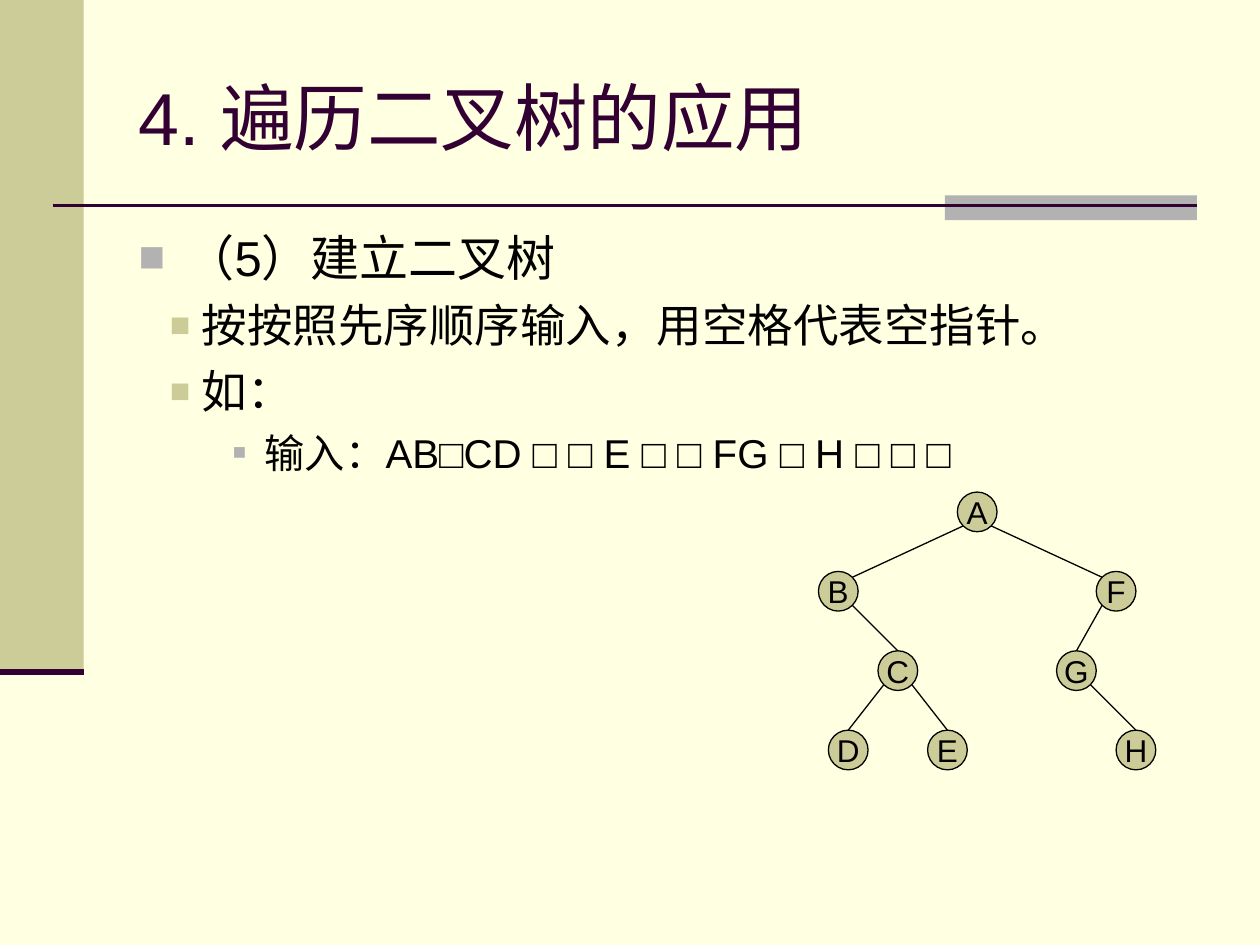
from math import sqrt

from lxml.etree import SubElement
from pptx import Presentation
from pptx.dml.color import RGBColor
from pptx.enum.shapes import MSO_CONNECTOR, MSO_SHAPE
from pptx.enum.text import MSO_ANCHOR, MSO_AUTO_SIZE, PP_ALIGN
from pptx.oxml.ns import qn
from pptx.util import Cm, Pt

CREAM, OLIVE, GREY, PLUM, BLACK = "FFFFE1", "CCCC99", "B2B2B2", "330033", "000000"

LEVELS = [
    {"size": 28, "before": 7, "margin": 0.95, "hanging": 0.95, "bullet": GREY, "scale": 90},
    {"size": 26, "before": 6.5, "margin": 1.27, "hanging": 0.64, "bullet": OLIVE, "scale": 75},
    {"size": 23, "before": 5.8, "margin": 2.54, "hanging": 0.64, "bullet": GREY, "scale": 55},
]
ITEMS = [
    (0, "（5）建立二叉树"),
    (1, "按按照先序顺序输入，用空格代表空指针。"),
    (1, "如："),
    (2, "输入：AB□CD □ □ E □ □ FG □ H □ □ □"),
]

DIAMETER, ROW_PITCH = 0.8, 1.6
NODES = {
    "A": (2.8, 0), "B": (0, 1), "F": (5.6, 1), "C": (1.2, 2),
    "G": (4.8, 2), "D": (0.2, 3), "E": (2.2, 3), "H": (6, 3),
}
EDGES = ["AB", "AF", "BC", "FG", "CD", "CE", "GH"]


def color(code):
    """Turn a hex string into a colour."""
    return RGBColor.from_string(code)


def style_font(font, size, code):
    """Set the typeface, size and colour of a font."""
    font.name, font.size = "Arial", Pt(size)
    font.color.rgb = color(code)


def add_block(page, kind, box, fill):
    """Add a filled shape without outline; box is in centimetres."""
    shape = page.shapes.add_shape(kind, *map(Cm, box))
    shape.shadow.inherit = False
    shape.fill.solid()
    shape.fill.fore_color.rgb = color(fill)
    shape.line.fill.background()
    return shape


def add_line(page, start, end, code, width):
    """Add a straight line between two points in centimetres."""
    line = page.shapes.add_connector(MSO_CONNECTOR.STRAIGHT, *map(Cm, (*start, *end)))
    line.line.color.rgb = color(code)
    line.line.width = Pt(width)
    SubElement(line._element.spPr, qn("a:effectLst"))


def add_sidebar(page, box):
    """Draw the side band with its closing rule."""
    left, top, width, height = box
    add_block(page, MSO_SHAPE.RECTANGLE, box, OLIVE)
    add_line(page, (left, top + height), (left + width, top + height), PLUM, 3.5)


def add_title_rule(page, box):
    """Draw the rule below the title with a grey tab at its right end."""
    left, top, width, height = box
    tab = 5.08
    add_block(page, MSO_SHAPE.RECTANGLE, (left + width - tab, top, tab, height), GREY)
    middle = top + 0.2
    add_line(page, (left, middle), (left + width, middle), PLUM, 1.5)


def prepare_frame(holder, box, anchor):
    """Move a placeholder into its box and return its text frame."""
    holder.left, holder.top, holder.width, holder.height = map(Cm, box)
    frame = holder.text_frame
    frame.auto_size = MSO_AUTO_SIZE.NONE
    frame.word_wrap = True
    frame.vertical_anchor = anchor
    return frame


def fill_title(page, box):
    """Write the title."""
    frame = prepare_frame(page.shapes.title, box, MSO_ANCHOR.MIDDLE)
    frame.text = "4. 遍历二叉树的应用"
    para = frame.paragraphs[0]
    para.alignment = PP_ALIGN.LEFT
    style_font(para.font, 42, PLUM)


def set_bullet(para, level):
    """Give a paragraph a square bullet and hanging indent."""
    props = para._p.get_or_add_pPr()
    props.set("marL", str(Cm(level["margin"])))
    props.set("indent", str(-Cm(level["hanging"])))
    SubElement(SubElement(props, qn("a:buClr")), qn("a:srgbClr"), val=level["bullet"])
    SubElement(props, qn("a:buSzPct"), val=str(level["scale"] * 1000))
    SubElement(props, qn("a:buFont"), typeface="Arial")
    SubElement(props, qn("a:buChar"), char="■")


def fill_list(page, box):
    """Write the bulleted list."""
    frame = prepare_frame(page.placeholders[1], box, MSO_ANCHOR.TOP)
    frame.text = "\n".join(text for _, text in ITEMS)
    for para, (depth, _) in zip(frame.paragraphs, ITEMS):
        level = LEVELS[depth]
        para.level = depth
        para.space_before = Pt(level["before"])
        set_bullet(para, level)
        style_font(para.font, level["size"], BLACK)


def add_node(page, name, left, top):
    """Draw one tree node with its letter."""
    node = add_block(page, MSO_SHAPE.OVAL, (left, top, DIAMETER, DIAMETER), OLIVE)
    node.line.color.rgb = color(BLACK)
    node.line.width = Pt(0.75)
    frame = node.text_frame
    frame.word_wrap = False
    frame.vertical_anchor = MSO_ANCHOR.MIDDLE
    frame.text = name
    para = frame.paragraphs[0]
    para.alignment = PP_ALIGN.CENTER
    style_font(para.font, 18, BLACK)


def add_tree(page, left, top):
    """Draw the binary tree from its top left corner."""
    radius = DIAMETER / 2
    diagonal = radius / sqrt(2)
    centers = {
        name: (left + x + radius, top + row * ROW_PITCH + radius)
        for name, (x, row) in NODES.items()
    }
    for parent, child in EDGES:
        (x1, y1), (x2, y2) = centers[parent], centers[child]
        shift = diagonal if x2 > x1 else -diagonal
        if parent == "A":
            end = (x2 - shift, y2 - diagonal)
        else:
            end = (x2, y2 - radius)
        add_line(page, (x1 + shift, y1 + diagonal), end, BLACK, 0.75)
    for name, (x, y) in centers.items():
        add_node(page, name, x - radius, y - radius)


def main():
    """Build and save the deck."""
    deck = Presentation()
    deck.slide_width, deck.slide_height = Cm(25.4), Cm(19.05)
    page = deck.slides.add_slide(deck.slide_layouts[1])
    page.background.fill.solid()
    page.background.fill.fore_color.rgb = color(CREAM)
    add_sidebar(page, (0, 0, 1.69, 13.55))
    add_title_rule(page, (1.06, 3.94, 23.07, 0.5))
    fill_title(page, (2.54, 0.76, 21.59, 3.18))
    fill_list(page, (2.54, 4.45, 21.59, 12.57))
    add_tree(page, 16.5, 9.92)
    deck.save("out.pptx")


if __name__ == "__main__":
    main()
